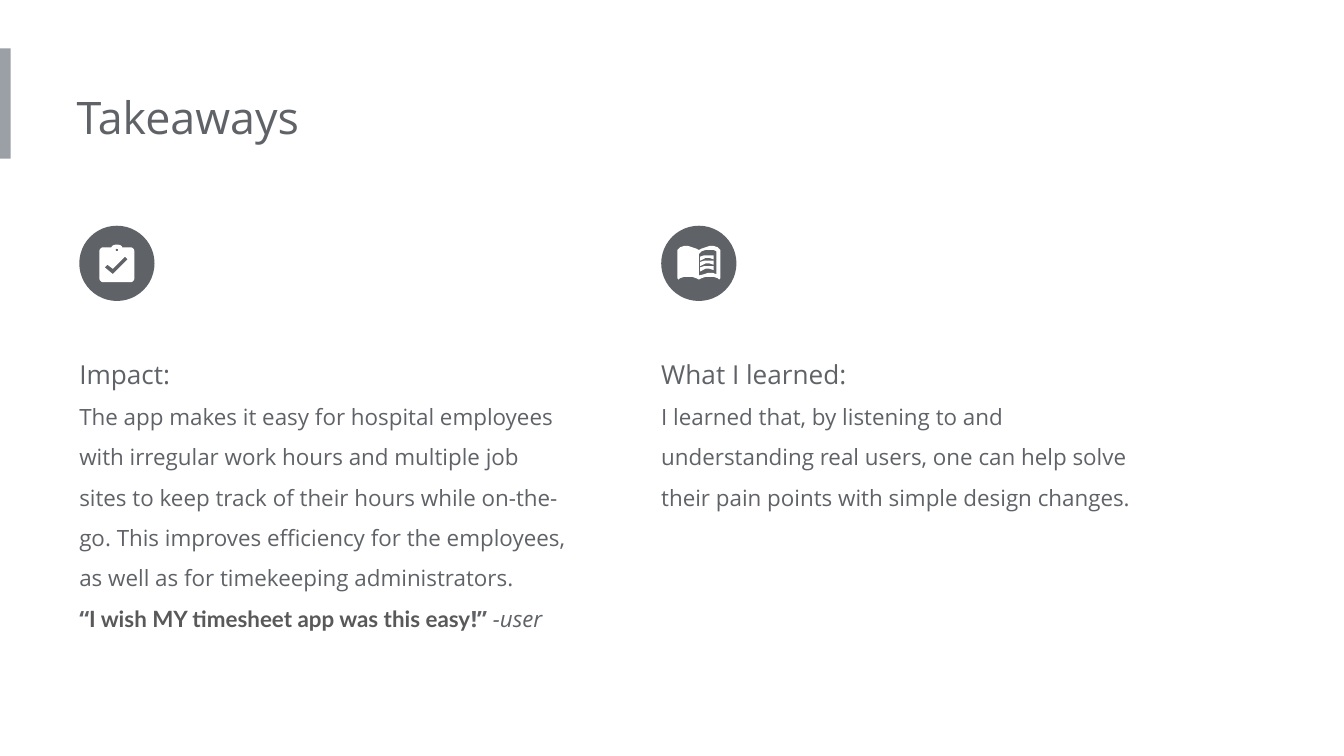
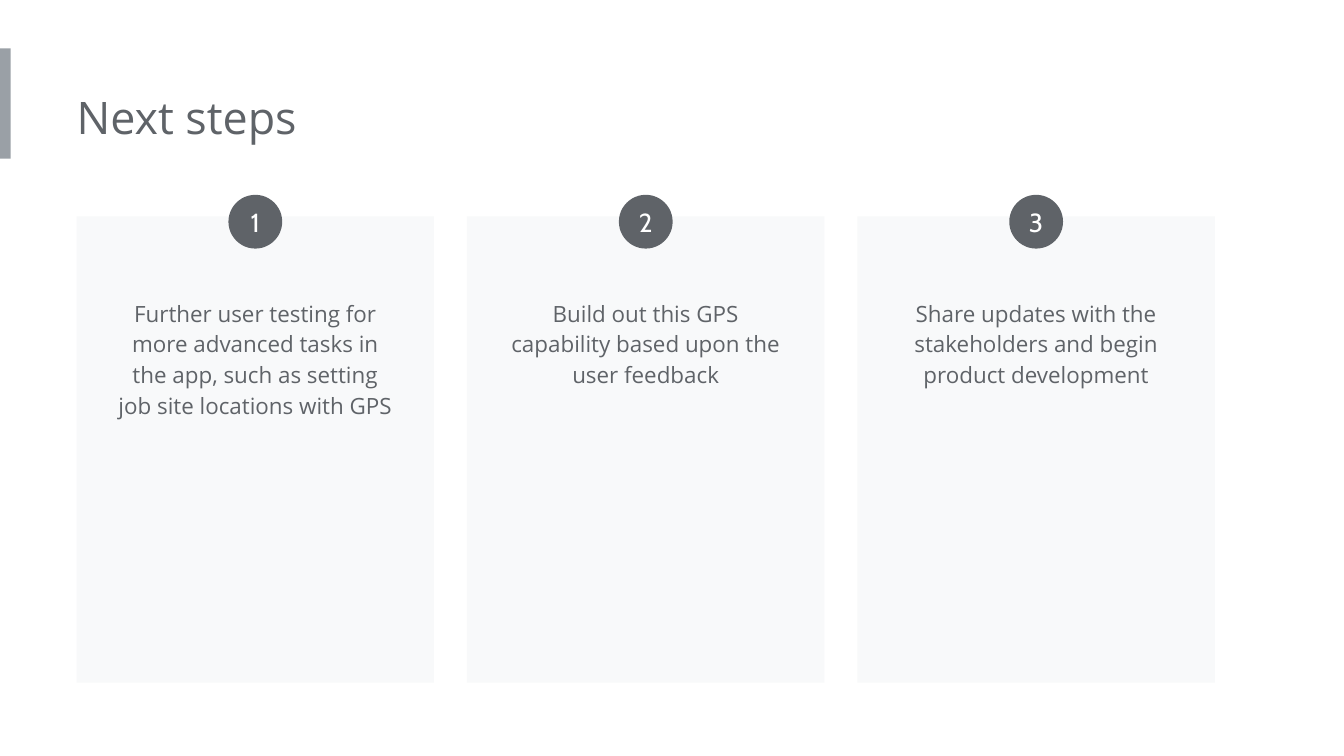
import math

from pptx import Presentation
from pptx import util as u
from pptx.dml.color import RGBColor
from pptx.enum import shapes, text

GREY = RGBColor(0x5F, 0x63, 0x68)
QUOTE_GREY = RGBColor(0x59, 0x59, 0x59)
ACCENT = RGBColor(0x9A, 0xA0, 0xA6)
CARD = RGBColor(0xF8, 0xF9, 0xFA)
WHITE = RGBColor(0xFF, 0xFF, 0xFF)
BODY_FONT = "Open Sans"

CIRCLE = 0.56  # icon disc
BADGE = 0.4    # numbered disc


def style(shape, fill):
    shape.shadow.inherit = False
    shape.fill.solid()
    shape.fill.fore_color.rgb = fill
    shape.line.fill.background()
    return shape


def add_block(slide, kind, x, y, w, h, fill):
    return style(slide.shapes.add_shape(
        kind, u.Inches(x), u.Inches(y), u.Inches(w), u.Inches(h)), fill)


def write(frame, paragraphs, size=12, font=BODY_FONT, color=GREY,
          align=None, spacing=None):
    """Fill a frame; each paragraph is a list of (text, run overrides)."""
    frame.word_wrap = True
    for i, runs in enumerate(paragraphs):
        para = frame.paragraphs[0] if i == 0 else frame.add_paragraph()
        para.alignment = align
        if spacing:
            para.line_spacing = spacing
        for words, own in runs:
            run = para.add_run()
            run.text = words
            run.font.name = own.get("font", font)
            run.font.size = u.Pt(own.get("size", size))
            run.font.color.rgb = own.get("color", color)
            run.font.bold = own.get("bold")
            run.font.italic = own.get("italic")


def add_text(slide, paragraphs, x, y, w, h, left_inset=0, **fmt):
    frame = slide.shapes.add_textbox(
        u.Inches(x), u.Inches(y), u.Inches(w), u.Inches(h)).text_frame
    frame.margin_left = u.Inches(left_inset)
    frame.margin_right = frame.margin_top = frame.margin_bottom = u.Inches(0.1)
    write(frame, paragraphs, **fmt)
    frame.auto_size = text.MSO_AUTO_SIZE.SHAPE_TO_FIT_TEXT


def add_outline(parent, contours, x, y):
    """Draw closed white contours whose points are relative to (x, y)."""
    builder = None
    for contour in contours:
        first, *rest = [(u.Inches(x + px), u.Inches(y + py))
                        for px, py in contour]
        if builder is None:
            builder = parent.shapes.build_freeform(*first, scale=1.0)
        else:
            builder.move_to(*first)
        builder.add_line_segments(rest, close=True)
    style(builder.convert_to_shape(), WHITE)


def arc(cx, cy, rx, ry, start, end, steps=8):
    angles = [math.radians(start + (end - start) * i / steps)
              for i in range(steps + 1)]
    return [(cx + rx * math.cos(a), cy + ry * math.sin(a)) for a in angles]


def clipboard_icon(slide, x, y):
    r = 0.03
    board = (arc(0.18, 0.19, r, r, 180, 270)
             + arc(0.28, 0.16, 0.04, 0.02, 180, 360)
             + arc(0.38, 0.19, r, r, 270, 360)
             + arc(0.38, 0.39, r, r, 0, 90)
             + arc(0.18, 0.39, r, r, 90, 180))
    pin = arc(0.28, 0.18, 0.01, 0.01, 0, 360)
    tick = [(0.25, 0.36), (0.19, 0.31), (0.21, 0.29), (0.25, 0.32),
            (0.34, 0.23), (0.36, 0.25)]
    add_outline(slide, [board, pin, tick], x, y)


def book_icon(slide, x, y):
    book = slide.shapes.add_group_shape()
    # Left half of the outline, mirrored about the spine
    spine = 0.28
    top = [(0.12, 0.18), (0.14, 0.16), (0.17, 0.15), (0.2, 0.15),
           (0.23, 0.16), (0.26, 0.17)]
    bottom = [(0.26, 0.39), (0.23, 0.38), (0.2, 0.38), (0.17, 0.38),
              (0.14, 0.39), (0.13, 0.4), (0.12, 0.39)]

    def mirror(points):
        return [(2 * spine - px, py) for px, py in reversed(points)]

    cover = (top + [(spine, 0.18)] + mirror(top)
             + mirror(bottom) + [(spine, 0.4)] + bottom)
    page = [(0.28, 0.21), (0.3, 0.19), (0.33, 0.18), (0.36, 0.18),
            (0.39, 0.18), (0.41, 0.19), (0.41, 0.36), (0.38, 0.35),
            (0.35, 0.35), (0.32, 0.36), (0.28, 0.37)]
    add_outline(book, [cover, page], x, y)
    line = [(0.29, 0.23), (0.32, 0.22), (0.35, 0.22), (0.39, 0.22),
            (0.39, 0.25), (0.36, 0.24), (0.33, 0.24), (0.29, 0.26)]
    for row in range(3):
        add_outline(book, [line], x, y + 0.04 * row)


def new_slide(prs, title):
    slide = prs.slides.add_slide(prs.slide_layouts[6])
    add_block(slide, shapes.MSO_SHAPE.RECTANGLE, 0, 0.36, 0.08, 0.82, ACCENT)
    add_text(slide, [[(title, {})]], 0.57, 0.57, 5.39, 0.61, size=24)
    return slide


def takeaway(slide, x, y, height, icon, heading, body):
    add_block(slide, shapes.MSO_SHAPE.OVAL, x, y, CIRCLE, CIRCLE, GREY)
    icon(slide, x, y)
    add_text(slide, [[(heading, {"size": 14})]] + body,
             x, y + 0.77, 3.77, height, spacing=1.5)


def step_card(slide, x, y, w, h, number, words, text_height):
    add_block(slide, shapes.MSO_SHAPE.RECTANGLE, x, y, w, h, CARD)
    badge = add_block(slide, shapes.MSO_SHAPE.OVAL, x + (w - BADGE) / 2,
                      y - 0.16, BADGE, BADGE, GREY)
    frame = badge.text_frame
    frame.margin_left = frame.margin_right = 0
    frame.margin_top = frame.margin_bottom = 0
    frame.vertical_anchor = text.MSO_ANCHOR.MIDDLE
    write(frame, [[(str(number), {})]], size=14, font="Cabin", color=WHITE,
          align=text.PP_ALIGN.CENTER)
    add_text(slide, [[(words, {})]], x + 0.21, y + 0.49, w - 0.42, text_height,
             left_inset=0.1, align=text.PP_ALIGN.CENTER, spacing=1.15)


def takeaways_slide(prs):
    slide = new_slide(prs, "Takeaways")
    impact = [
        [("The app makes it easy for hospital employees with irregular work "
          "hours and multiple job sites to keep track of their hours while "
          "on-the-go. This improves efficiency for the employees, as well as "
          "for timekeeping administrators.", {})],
        [("“", {"bold": True}),
         ("I wish MY timesheet app was this easy",
          {"bold": True, "font": "Lato", "color": QUOTE_GREY}),
         ("!” ", {"bold": True}),
         ("-user", {"italic": True})],
    ]
    learned = [[("I learned that, by listening to and understanding real "
                 "users, one can help solve their pain points with simple "
                 "design changes.", {})]]
    takeaway(slide, 0.59, 1.68, 2.37, clipboard_icon, "Impact:", impact)
    takeaway(slide, 4.92, 1.68, 1.46, book_icon, "What I learned:", learned)


def next_steps_slide(prs):
    slide = new_slide(prs, "Next steps")
    steps = [
        ("Further user testing for more advanced tasks in the app, such as "
         "setting job site locations with GPS", 1.13),
        ("Build out this GPS capability based upon the user feedback", 0.9),
        ("Share updates with the stakeholders and begin product development",
         0.9),
    ]
    first, last = 0.57, 6.38
    pitch = (last - first) / (len(steps) - 1)
    for i, (words, text_height) in enumerate(steps):
        step_card(slide, first + i * pitch, 1.61, 2.66, 3.47,
                  i + 1, words, text_height)


def main():
    prs = Presentation()
    prs.slide_width = u.Inches(10)
    prs.slide_height = u.Inches(5.625)
    takeaways_slide(prs)
    next_steps_slide(prs)
    prs.save("out.pptx")


if __name__ == "__main__":
    main()
